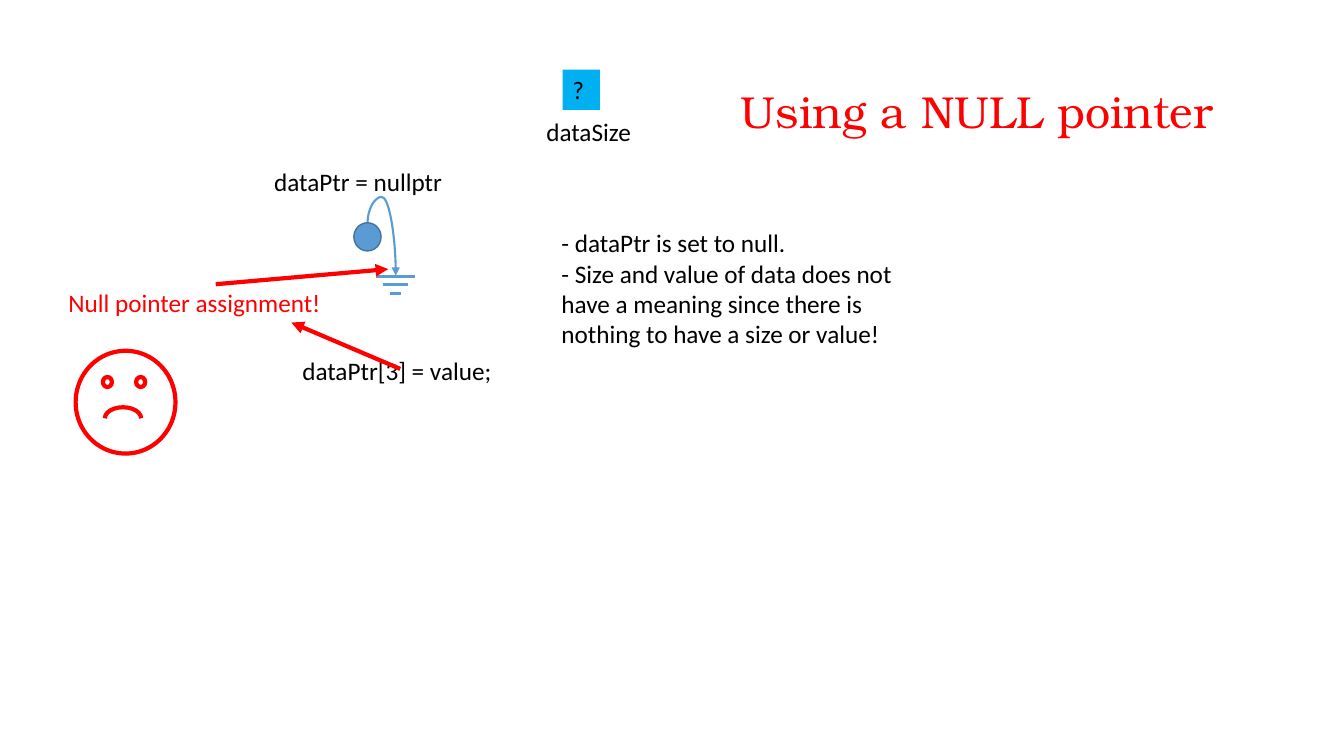
from pptx import Presentation
from pptx import util as u
from pptx.dml.color import RGBColor
from pptx.enum import shapes, text
from pptx.oxml.ns import qn
from lxml import etree

COLORS = {"ink": "000000", "alert": "FF0000", "paper": "FFFFFF",
          "pointer": "5B9BD5", "pointer_edge": "43739E", "data": "00B0F0"}
FONT, TITLE_FONT = "Calibri", "TeX Gyre Bonum"

LABELS = [
    (["dataSize"], (5.32, 1.1, 1.19, 0.4), {}),
    (["dataPtr = nullptr"], (2.62, 1.6, 2.18, 0.4), {}),
    (["?"], (5.58, 0.69, 0.37, 0.4), {"fill": "data"}),
    (["- dataPtr is set to null.",
      "- Size and value of data does not have a meaning since there is "
      "nothing to have a size or value!"], (5.47, 2.21, 3.88, 1.31), {}),
    (["dataPtr[3] = value;"], (2.9, 3.48, 2.25, 0.4), {}),
    (["Null pointer assignment!"], (0.58, 2.8, 2.75, 0.4),
     {"color": "alert", "edge": "paper"}),
    (["Using a NULL pointer"], (7.25, 0.78, 5.02, 0.64),
     {"color": "alert", "size": 32, "font": TITLE_FONT}),
]
ALERT_ARROWS = [((3.97, 3.66), (2.89, 3.2)), ((2.14, 2.82), (3.85, 2.67))]
GROUND_CENTER, GROUND_TOP, GROUND_STEP = 3.92, 2.74, 0.085
GROUND_WIDTHS = [0.39, 0.25, 0.11]
FACE = (0.75, 3.48, 0.99, 1.02)
EYE_LEFTS, EYE_TOP, EYE_SIZE = [1.02, 1.35], 3.74, (0.09, 0.1)
MOUTH = (1.04, 4.04, 0.36, 0.22)

deck = Presentation()
deck.slide_width, deck.slide_height = u.Inches(13.33), u.Inches(7.5)
slide = deck.slides.add_slide(deck.slide_layouts[6])


def rgb(name):
    return RGBColor.from_string(COLORS[name])


def inches(values):
    return [u.Inches(v) for v in values]


def add_figure(preset, box, fill=None, edge=None, weight=3):
    figure = slide.shapes.add_shape(preset, *inches(box))
    figure.shadow.inherit = False
    if fill:
        figure.fill.solid()
        figure.fill.fore_color.rgb = rgb(fill)
    else:
        figure.fill.background()
    if edge:
        figure.line.color.rgb = rgb(edge)
        figure.line.width = u.Pt(weight)
    else:
        figure.line.fill.background()
    return figure


def add_label(lines, box, color="ink", size=18, font=FONT, fill=None, edge=None):
    if fill or edge:
        label = add_figure(shapes.MSO_SHAPE.RECTANGLE, box, fill, edge, 0.75)
    else:
        label = slide.shapes.add_textbox(*inches(box))
    frame = label.text_frame
    frame.word_wrap = True
    frame.vertical_anchor = text.MSO_ANCHOR.TOP
    frame.text = "\n".join(lines)
    for paragraph in frame.paragraphs:
        paragraph.alignment = text.PP_ALIGN.LEFT
        run_font = paragraph.runs[0].font
        run_font.name, run_font.size = font, u.Pt(size)
        run_font.color.rgb = rgb(color)


def add_line(start, end, color, weight, arrow=False,
             kind=shapes.MSO_CONNECTOR.STRAIGHT):
    line = slide.shapes.add_connector(kind, *inches(start + end))
    line.line.color.rgb = rgb(color)
    line.line.width = u.Pt(weight)
    if arrow:
        etree.SubElement(line.line._get_or_add_ln(), qn("a:tailEnd"), type="triangle")
    etree.SubElement(line._element.spPr, qn("a:effectLst"))
    return line


def add_pointer_loop():
    loop = add_line((4.05, 2.33), (3.52, 2.61), "pointer", 1.5, True,
                    shapes.MSO_CONNECTOR.CURVE)
    properties = loop._element.spPr
    properties.find(qn("a:xfrm")).set("rot", str(270 * 60000))
    guides = properties.find(qn("a:prstGeom")).find(qn("a:avLst"))
    etree.SubElement(guides, qn("a:gd"), name="adj1", fmla="val -47600")


def add_sad_face():
    eyes = [(left, EYE_TOP) + EYE_SIZE for left in EYE_LEFTS]
    for box in [FACE] + eyes:
        add_figure(shapes.MSO_SHAPE.OVAL, box, "paper", "alert")
    mouth = add_figure(shapes.MSO_SHAPE.ARC, MOUTH, edge="alert")
    mouth.adjustments[0] = 108


add_figure(shapes.MSO_SHAPE.OVAL, (3.51, 2.21, 0.27, 0.28),
           "pointer", "pointer_edge", 1)
add_pointer_loop()
for row, width in enumerate(GROUND_WIDTHS):
    y = GROUND_TOP + row * GROUND_STEP
    add_line((GROUND_CENTER - width / 2, y), (GROUND_CENTER + width / 2, y),
             "pointer", 2.25)
for lines, box, style in LABELS:
    add_label(lines, box, **style)
for start, end in ALERT_ARROWS:
    add_line(start, end, "alert", 3, arrow=True)
add_sad_face()

deck.save("out.pptx")
